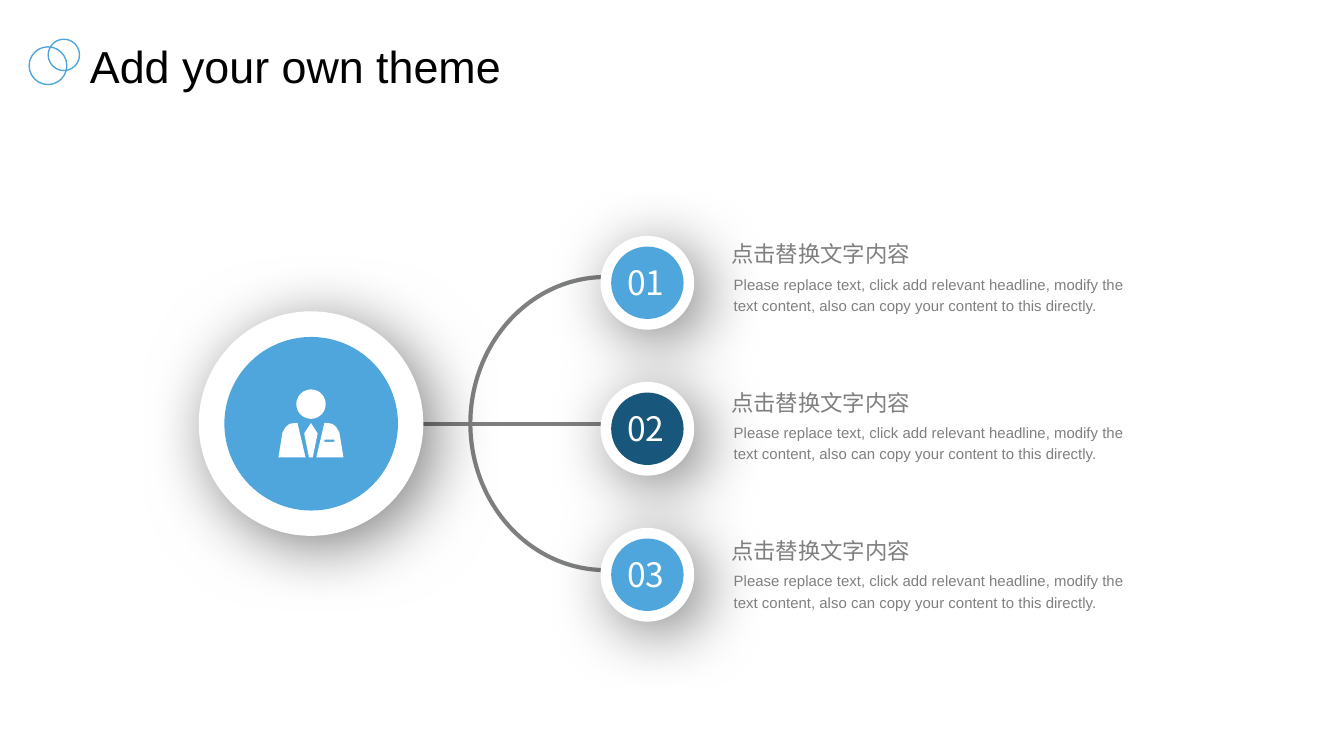
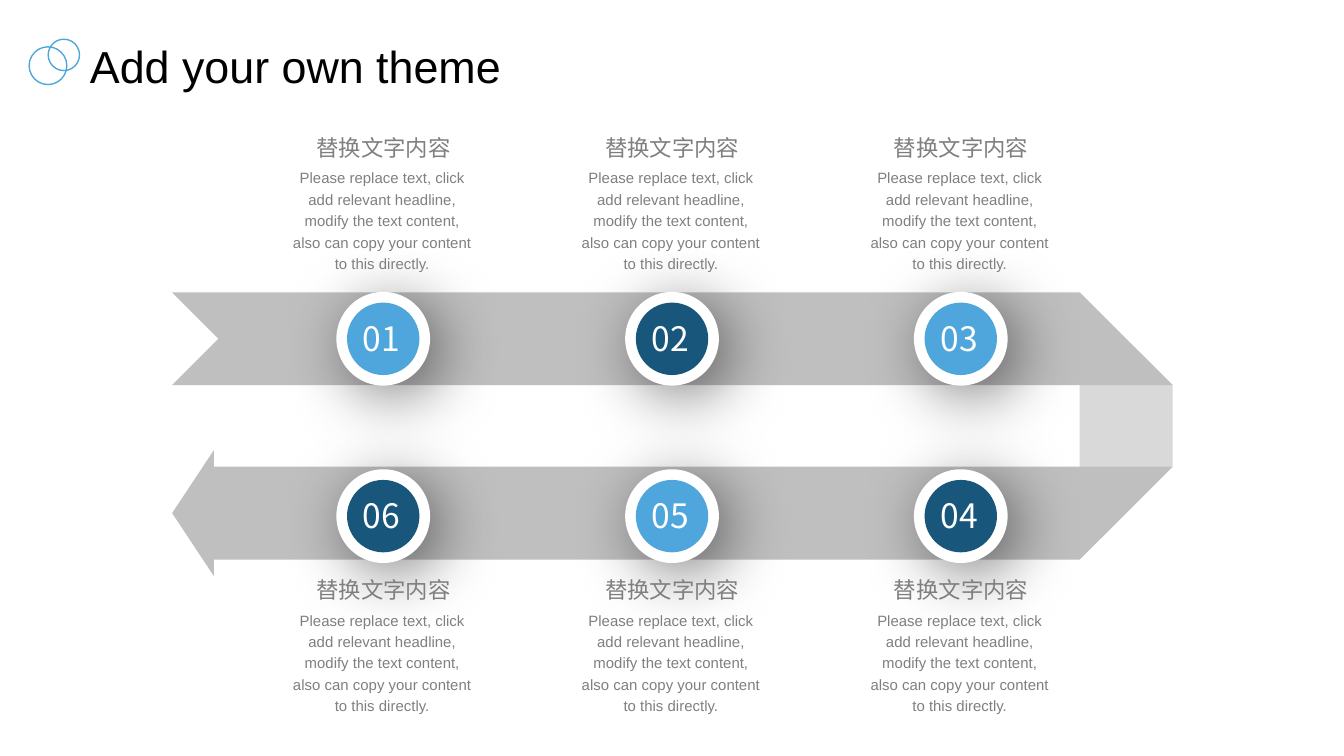
from lxml.etree import SubElement
from pptx import Presentation
from pptx.dml.color import RGBColor
from pptx.enum.shapes import MSO_CONNECTOR, MSO_SHAPE
from pptx.enum.text import MSO_ANCHOR, MSO_AUTO_SIZE, PP_ALIGN
from pptx.oxml.ns import qn
from pptx.util import Pt

COLORS = {
    "sky": "4EA6DC",
    "navy": "18567C",
    "white": "FFFFFF",
    "black": "000000",
    "caption": "807F7F",
    "branch": "7E7F80",
    "ribbon": "BFBFBF",
    "fold": "D9D9D9",
}
TEXT_FONT = "Arial"
NUMBER_FONT = "Noto Sans CJK SC"
BODY = ("Please replace text, click add relevant headline, modify the text "
        "content, also can copy your content to this directly.")
BADGE, BADGE_CORE = 50.2, 38.8


def rgb(name):
    return RGBColor.from_string(COLORS[name])


def box(left, top, width, height):
    return Pt(left), Pt(top), Pt(width), Pt(height)


def paint(shape, fill=None, line=None, weight=0.75):
    shape.shadow.inherit = False
    if fill:
        shape.fill.solid()
        shape.fill.fore_color.rgb = rgb(fill)
    else:
        shape.fill.background()
    if line:
        shape.line.color.rgb = rgb(line)
        shape.line.width = Pt(weight)
    else:
        shape.line.fill.background()


def add_circle(slide, left, top, size, fill=None, line=None):
    circle = slide.shapes.add_shape(MSO_SHAPE.OVAL, *box(left, top, size, size))
    paint(circle, fill, line)
    return circle


def cast_shadow(shape):
    """Give the shape a soft shadow towards the lower right."""
    effects = shape._element.spPr.find(qn("a:effectLst"))
    shadow = SubElement(effects, qn("a:outerShdw"), blurRad=str(Pt(35)),
                        dist=str(Pt(8)), dir="2700000", algn="tl",
                        rotWithShape="0")
    color = SubElement(shadow, qn("a:srgbClr"), val=COLORS["black"])
    SubElement(color, qn("a:alpha"), val="50000")


def add_outline(slide, fill, *contours):
    """Draw one filled shape from closed contours of (x, y) points."""
    builder = None
    for contour in contours:
        start, *others = [(Pt(x), Pt(y)) for x, y in contour]
        if builder is None:
            builder = slide.shapes.build_freeform(*start, scale=1.0)
        else:
            builder.move_to(*start)
        builder.add_line_segments(others, close=True)
    outline = builder.convert_to_shape()
    paint(outline, fill)
    return outline


def write(frame, text, size, color, font=TEXT_FONT, align=PP_ALIGN.LEFT,
          spacing=None):
    paragraph = frame.paragraphs[0]
    paragraph.alignment = align
    if spacing:
        paragraph.line_spacing = spacing
    run = paragraph.add_run()
    run.text = text
    run.font.size = Pt(size)
    run.font.name = font
    run.font.color.rgb = rgb(color)


def clear_insets(frame):
    frame.margin_left = frame.margin_right = 0
    frame.margin_top = frame.margin_bottom = 0
    frame.word_wrap = True


def add_themed_slide(deck, title_text):
    slide = deck.slides.add_slide(deck.slide_layouts[5])
    title = slide.shapes.title
    title.left, title.top, title.width, title.height = box(48.2, 15.1, 232.6, 34.6)
    frame = title.text_frame
    clear_insets(frame)
    frame.auto_size = MSO_AUTO_SIZE.NONE
    frame.vertical_anchor = MSO_ANCHOR.BOTTOM
    write(frame, title_text, 24, "black", spacing=1.2)
    add_circle(slide, 15.6, 25.1, 20.2, line="sky")
    add_circle(slide, 25.8, 21, 16.8, line="sky")
    return slide


def add_badge(slide, number, left, top, color):
    cast_shadow(add_circle(slide, left, top, BADGE, "white"))
    rim = (BADGE - BADGE_CORE) / 2
    add_circle(slide, left + rim, top + rim, BADGE_CORE, color)
    label = slide.shapes.add_textbox(*box(left + 7.2, top + 10.4, 36, 29))
    label.text_frame.word_wrap = False
    label.text_frame.auto_size = MSO_AUTO_SIZE.SHAPE_TO_FIT_TEXT
    write(label.text_frame, f"{number:02}", 18, "white", NUMBER_FONT)


def add_caption(slide, heading, left, top, body_indent, body_size, align):
    head = slide.shapes.add_textbox(*box(left, top, 100, 14.4))
    clear_insets(head.text_frame)
    write(head.text_frame, heading, 12, "caption", align=align)
    body = slide.shapes.add_textbox(
        *box(left + body_indent, top + 16.6, *body_size))
    clear_insets(body.text_frame)
    write(body.text_frame, BODY, 8, "caption", align=align, spacing=1.2)


def add_branches(slide):
    stem = slide.shapes.add_connector(
        MSO_CONNECTOR.STRAIGHT, Pt(324), Pt(227), Pt(225.4), Pt(227))
    stem.line.color.rgb = rgb("branch")
    stem.line.width = Pt(2.25)
    SubElement(stem._element.spPr, qn("a:effectLst"))
    arc = slide.shapes.add_shape(MSO_SHAPE.ARC, *box(252, 148.4, 144.7, 157))
    arc.adjustments[0], arc.adjustments[1] = 162, 54.27
    arc._element.spPr.find(qn("a:xfrm")).set("flipH", "1")
    paint(arc, line="branch", weight=2.25)


def add_person(slide, center, top):
    """Draw the head, the two jacket halves and the tie."""
    add_circle(slide, center - 7.9, top - 18, 15.8, "white")
    jacket = [(7.2, 0), (2.9, 18.4), (17.4, 18.4), (15.2, 5), (13.5, 2.2),
              (11.5, 0.5), (8.7, 0)]
    pocket = [(7.2, 9), (7.2, 10.2), (12.6, 10.2), (12.6, 9)]
    tie = [(0, 0), (-3.6, 5.6), (-1, 18.4), (1, 18.4), (3.6, 5.6)]

    def place(points, side=1):
        return [(center + side * x, top + y) for x, y in points]

    add_outline(slide, "white", place(jacket), place(pocket))
    add_outline(slide, "white", place(jacket, -1))
    add_outline(slide, "white", place(tie))


def build_branch_slide(deck):
    slide = add_themed_slide(deck, "Add your own theme")
    add_branches(slide)
    cast_shadow(add_circle(slide, 106.5, 166.8, 120.3, "white"))
    add_circle(slide, 120.2, 180.5, 93, "sky")
    add_person(slide, 166.6, 226.6)
    for row, color in enumerate(("sky", "navy", "sky")):
        add_badge(slide, row + 1, 321.7, 126.4 + 78.2 * row, color)
    for row in range(3):
        add_caption(slide, "点击替换文字内容", 391.7, 128.9 + 79.5 * row,
                    1.4, (220.3, 23), PP_ALIGN.LEFT)


def add_ribbon(slide):
    tail, turn, edge = 92.2, 578.4, 628.2
    upper_top, upper_end, lower_top, lower_end = 156.7, 206.3, 250, 299.8
    neck, flare = 114.6, 8.9
    add_outline(slide, "fold", [(edge, upper_end), (edge, lower_top),
                                (turn, lower_end), (turn, upper_top)])
    add_outline(slide, "ribbon", [
        (neck, lower_top), (edge, lower_top), (turn, lower_end),
        (neck, lower_end), (neck, lower_end + flare),
        (tail, (lower_top + lower_end) / 2), (neck, lower_top - flare)])
    add_outline(slide, "ribbon", [
        (tail, upper_top), (turn, upper_top), (edge, upper_end),
        (tail, upper_end), (117, (upper_top + upper_end) / 2)])


def build_ribbon_slide(deck):
    slide = add_themed_slide(deck, "Add your own theme")
    add_ribbon(slide)
    for top, numbers in ((156.4, (1, 2, 3)), (251.4, (6, 5, 4))):
        for column, number in enumerate(numbers):
            color = "sky" if number % 2 else "navy"
            add_badge(slide, number, 180.2 + 154.7 * column, top, color)
    for top in (72, 308.9):
        for column in range(3):
            add_caption(slide, "替换文字内容", 155.5 + 154.7 * column, top,
                        0, (98.6, 58.3), PP_ALIGN.CENTER)


def main():
    deck = Presentation()
    deck.slide_width, deck.slide_height = Pt(720), Pt(405)
    build_branch_slide(deck)
    build_ribbon_slide(deck)
    deck.save("out.pptx")


if __name__ == "__main__":
    main()
